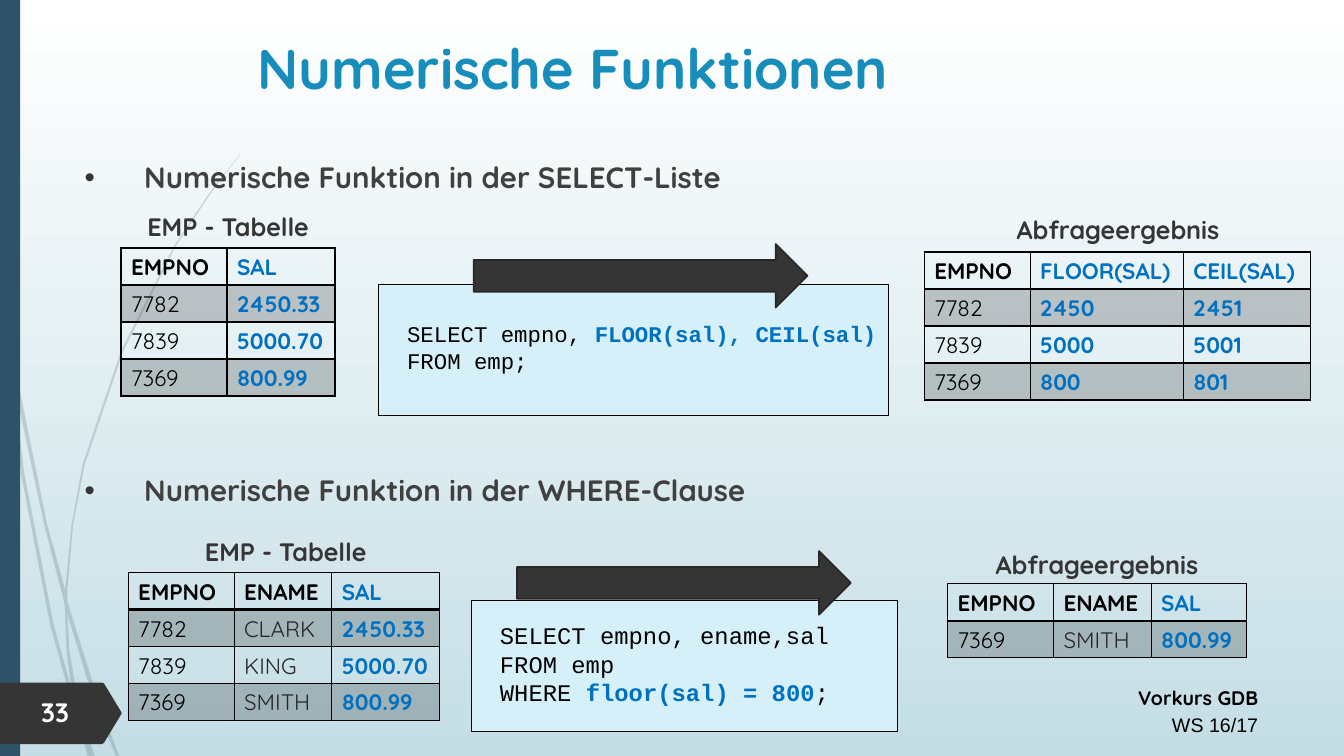
from lxml.etree import SubElement
from pptx import Presentation
from pptx.dml.color import RGBColor
from pptx.enum.shapes import MSO_SHAPE as Shape
from pptx.enum.text import MSO_ANCHOR as Anchor, MSO_AUTO_SIZE as AutoSize, PP_ALIGN as Align
from pptx.oxml.ns import qn
from pptx.util import Cm, Pt

FONT, MONO = "Quicksand", "Courier New"
BLACK, WHITE, BLUE, DARK, NAVY = "000000", "FFFFFF", "0070C0", "353535", "2E5369"

TITLE = "Numerische Funktionen"
BULLETS = ["Numerische Funktion in der SELECT-Liste",
           "Numerische Funktion in der WHERE-Clause"]
FOOTER = [("Vorkurs GDB", FONT, True), ("WS 16/17", "Arial", False)]

# left, top, column widths, rows
TABLES = [
    (3.05, 6.25, [2.67, 2.72],
     [["EMPNO", "SAL"], ["7782", "2450.33"], ["7839", "5000.70"], ["7369", "800.99"]]),
    (23.29, 6.35, [2.67, 3.86, 3.2],
     [["EMPNO", "FLOOR(SAL)", "CEIL(SAL)"], ["7782", "2450", "2451"],
      ["7839", "5000", "5001"], ["7369", "800", "801"]]),
    (3.23, 14.43, [2.67, 2.46, 2.72],
     [["EMPNO", "ENAME", "SAL"], ["7782", "CLARK", "2450.33"],
      ["7839", "KING", "5000.70"], ["7369", "SMITH", "800.99"]]),
    (23.88, 14.71, [2.67, 2.46, 2.41],
     [["EMPNO", "ENAME", "SAL"], ["7369", "SMITH", "800.99"]]),
]
PLAIN_COLUMNS = {"EMPNO": BLACK, "ENAME": "262626"}
ROW_HEIGHT = 0.93

# text, left, top, width
CAPTIONS = [("EMP - Tabelle", 3.25, 5.21, 5), ("Abfrageergebnis", 24.77, 5.28, 6.81),
            ("EMP - Tabelle", 4.7, 13.39, 5), ("Abfrageergebnis", 24.51, 13.72, 6.27)]

# box, font size, arrow position, lines of (text, highlighted)
QUERIES = [
    ((9.55, 7.16, 12.85, 3.3), 16, (11.94, 6.15),
     [[("SELECT empno, ", False), ("FLOOR(sal), CEIL(sal)", True)],
      [("FROM emp;", False)]]),
    ((11.89, 15.14, 10.72, 3.3), 17, (13.03, 13.89),
     [[("SELECT empno, ename,sal", False)],
      [("FROM emp", False)],
      [("WHERE ", False), ("floor(sal) = 800", True), (";", False)]]),
]

WISPS = [
    [(.2, 8.89), (.15, 8.18), (0, 7.16), (0, 7.59), (.2, 8.74)],
    [(1.12, 13.26), (1.63, 15.21), (1.65, 14.88), (1.19, 13.21), (.28, 8.76), (.33, 9.55)],
    [(1.78, 15.42), (1.7, 15.14), (1.7, 15.49), (2.36, 17.63), (2.92, 19.05), (3, 19.05),
     (2.46, 17.58)],
    [(2.31, 19.05), (2.39, 19.05), (2.03, 18.06)],
    [(1.8, 17.35), (1.35, 15.72), (.61, 11.91), (.33, 9.55), (.2, 8.89), (.53, 11.94),
     (1.27, 15.77), (1.78, 17.6), (1.96, 18.14), (1.9, 17.96)],
    [(1.63, 15.21), (1.68, 16.41), (1.8, 17.35), (1.85, 17.58), (2.03, 18.06),
     (2.01, 17.93), (1.75, 16.41), (1.7, 15.49), (1.7, 15.44)],
    [(1.7, 14.83), (1.84, 13.25), (2.13, 11.73), (3.1, 8.86), (4.42, 6.22), (5.21, 5.03),
     (5.61, 4.45), (6.05, 3.91), (6.05, 3.89), (5.59, 4.45), (5.18, 5), (4.39, 6.2),
     (3.05, 8.84), (2.08, 11.71), (1.8, 13.25), (1.65, 14.83), (1.65, 14.88), (1.7, 15.14)],
    [(1.96, 18.14), (2.21, 19.05), (2.29, 19.05)],
    [(1.7, 15.44), (1.7, 15.49), (1.7, 15.14), (1.65, 14.88), (1.63, 15.21)],
    [(1.88, 17.58), (1.8, 17.35), (1.9, 17.96), (1.96, 18.14), (2.29, 19.05),
     (2.31, 19.05), (2.03, 18.06)],
]
NUMBER_TAG = [(0, 17.2), (2.57, 17.2), (2.62, 17.22), (3.05, 17.93), (3.07, 17.97),
              (3.05, 18.01), (2.62, 18.72), (2.57, 18.75), (0, 18.75)]


def color(value):
    return RGBColor.from_string(value)


def lengths(*values):
    return [Cm(value) for value in values]


def style(font, size, value, bold=True, name=FONT):
    font.size, font.bold, font.name = Pt(size), bold, name
    font.color.rgb = color(value)


def paint(fill, value, alpha=None):
    fill.solid()
    fill.fore_color.rgb = color(value)
    if alpha:
        tone = fill._xPr.find(qn("a:solidFill")).find(qn("a:srgbClr"))
        SubElement(tone, qn("a:alpha"), val=str(alpha * 1000))


def finish(shape, value, alpha=None, line=None, weight=1):
    shape.shadow.inherit = False
    paint(shape.fill, value, alpha)
    if line:
        shape.line.color.rgb = color(line)
        shape.line.width = Pt(weight)
    else:
        shape.line.fill.background()


def add_outline(page, points, value, alpha=None):
    corners = [lengths(*point) for point in points]
    builder = page.shapes.build_freeform(*corners[0])
    builder.add_line_segments(corners[1:], close=True)
    finish(builder.convert_to_shape(), value, alpha)


def add_label(page, text, place, size, value, align=Align.LEFT):
    frame = page.shapes.add_textbox(*lengths(*place)).text_frame
    frame.word_wrap = True
    frame.text = text
    frame.paragraphs[0].alignment = align
    style(frame.paragraphs[0].runs[0].font, size, value)


def add_border(cell, header):
    properties = cell._tc.get_or_add_tcPr()
    for side in "LRTB":
        width = Pt(2 if header and side == "B" else 1)
        edge = SubElement(properties, qn(f"a:ln{side}"), w=str(width))
        SubElement(SubElement(edge, qn("a:solidFill")), qn("a:srgbClr"), val=BLACK)


def add_grid(page, left, top, widths, rows):
    place = lengths(left, top, sum(widths), ROW_HEIGHT * len(rows))
    table = page.shapes.add_table(len(rows), len(widths), *place).table
    table.first_row = table.horz_banding = False
    for column, width in zip(table.columns, widths):
        column.width = Cm(width)
    for r, row in enumerate(rows):
        for c, text in enumerate(row):
            cell = table.cell(r, c)
            cell.text = text
            add_border(cell, r == 0)
            if r % 2:
                paint(cell.fill, BLACK, 20)
            else:
                cell.fill.background()
            plain = PLAIN_COLUMNS.get(rows[0][c])
            tone = BLUE if plain is None else BLACK if r == 0 else plain
            style(cell.text_frame.paragraphs[0].runs[0].font, 16, tone, r == 0 or plain is None)


def add_query(page, place, size, arrow_at, lines):
    box = page.shapes.add_shape(Shape.RECTANGLE, *lengths(*place))
    finish(box, "D6F0FA", line=BLACK, weight=0.75)
    frame = box.text_frame
    frame.word_wrap, frame.vertical_anchor = True, Anchor.MIDDLE
    frame.margin_left, frame.margin_top, frame.margin_right = lengths(0.71, 0, 0.15)
    for index, line in enumerate(lines):
        para = frame.add_paragraph() if index else frame.paragraphs[0]
        para.alignment = Align.LEFT
        for text, marked in line:
            span = para.add_run()
            span.text = text
            style(span.font, size, BLUE if marked else BLACK, marked, MONO)
    arrow = page.shapes.add_shape(Shape.RIGHT_ARROW, *lengths(*arrow_at, 8.41, 1.6))
    finish(arrow, DARK, line="272727", weight=1.25)


def fill_placeholders(page):
    title, body = page.placeholders
    title.left, title.top, title.width, title.height = lengths(3.05, 0.66, 22.78, 2.06)
    title.text_frame.text = TITLE
    title.text_frame.auto_size = AutoSize.NONE
    title.text_frame.paragraphs[0].alignment = Align.CENTER
    style(title.text_frame.paragraphs[0].runs[0].font, 40, "178DBB")

    body.left, body.top, body.width, body.height = lengths(1.88, 3.71, 30.07, 12.7)
    frame = body.text_frame
    frame.text = "\n".join(BULLETS)
    frame.auto_size = AutoSize.NONE
    for para, gap in zip(frame.paragraphs, (0, 193.5)):
        para.line_spacing, para.space_before, para.space_after = 1.2, Pt(gap), Pt(0)
        properties = para._p.get_or_add_pPr()
        properties.set("marL", str(Cm(1.5)))
        properties.set("indent", str(-Cm(1.5)))
        SubElement(SubElement(properties, qn("a:buClr")), qn("a:srgbClr"), val=DARK)
        SubElement(properties, qn("a:buFont"), typeface="Arial")
        SubElement(properties, qn("a:buChar"), char="•")
        style(para.runs[0].font, 21, "404040")


def add_footer(page):
    frame = page.shapes.add_textbox(*lengths(18.75, 17.07, 13.21, 1.63)).text_frame
    frame.word_wrap = True
    frame.text = "\n".join(text for text, _, _ in FOOTER)
    for para, (_, name, bold) in zip(frame.paragraphs, FOOTER):
        para.alignment, para.line_spacing = Align.RIGHT, 1.14
        style(para.runs[0].font, 14, BLACK, bold, name)


def main():
    deck = Presentation()
    deck.slide_width, deck.slide_height = lengths(33.87, 19.05)
    page = deck.slides.add_slide(deck.slide_layouts[1])
    backdrop = page.background.fill
    backdrop.gradient()
    backdrop.gradient_angle = 270
    for stop, value in zip(backdrop.gradient_stops, (WHITE, "C5DEE5")):
        stop.color.rgb = color(value)

    for wisp in WISPS:
        add_outline(page, wisp, NAVY, 20)
    sidebar = page.shapes.add_shape(Shape.RECTANGLE, *lengths(0, 0, 0.51, 19.05))
    finish(sidebar, NAVY)
    add_footer(page)
    add_outline(page, NUMBER_TAG, DARK)
    add_label(page, "33", (0.79, 17.42, 1.78, 1.07), 19, WHITE)
    fill_placeholders(page)
    for query in QUERIES:
        add_query(page, *query)
    for table in TABLES:
        add_grid(page, *table)
    for text, *place in CAPTIONS:
        add_label(page, text, (*place, 1.02), 18, DARK, Align.CENTER)
    deck.save("out.pptx")


if __name__ == "__main__":
    main()
